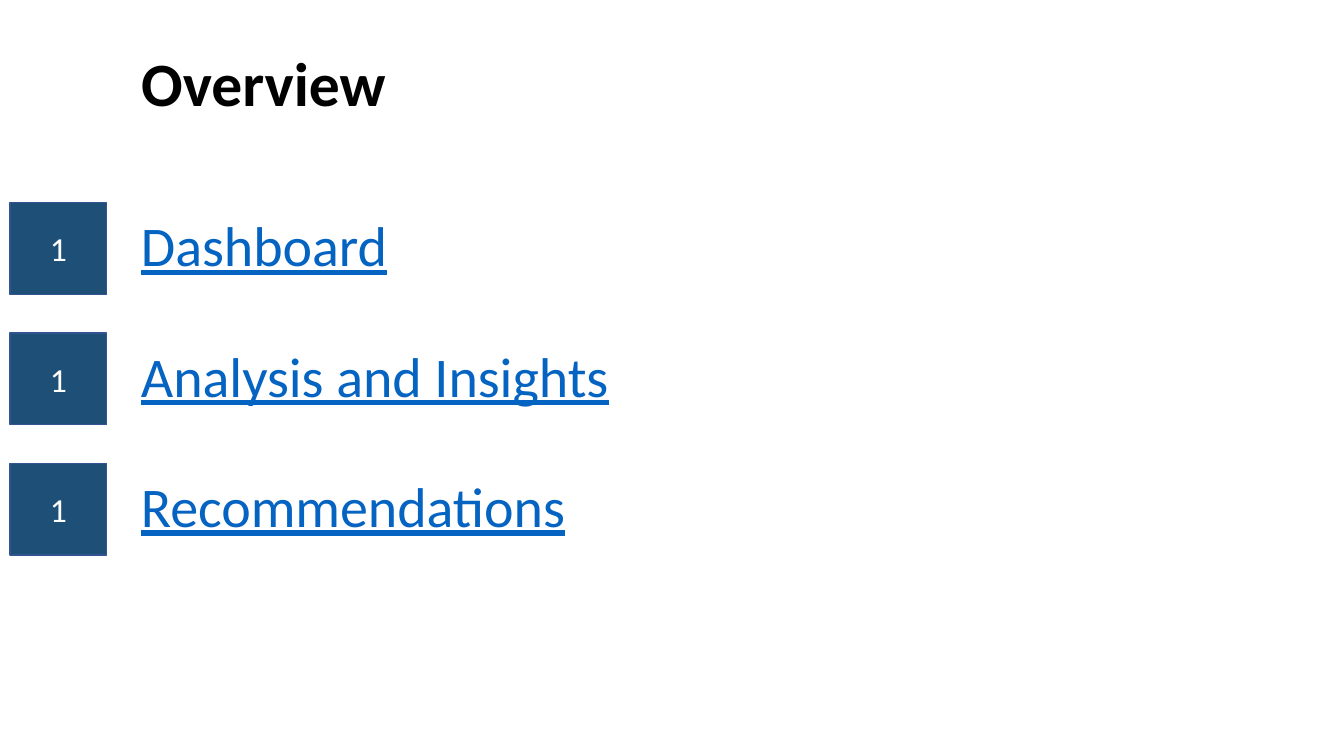
from pptx import Presentation
from pptx.dml.color import RGBColor
from pptx.enum.shapes import MSO_SHAPE
from pptx.enum.text import MSO_ANCHOR, MSO_AUTO_SIZE, PP_ALIGN
from pptx.util import Pt

RECT = MSO_SHAPE.RECTANGLE
MIDDLE = MSO_ANCHOR.MIDDLE
FIXED = MSO_AUTO_SIZE.NONE
LEFT, CENTER = PP_ALIGN.LEFT, PP_ALIGN.CENTER

BLACK = RGBColor(0x00, 0x00, 0x00)
WHITE = RGBColor(0xFF, 0xFF, 0xFF)
BLUE = RGBColor(0x05, 0x63, 0xC1)
NAVY = RGBColor(0x1D, 0x4F, 0x77)
EDGE = RGBColor(0x32, 0x54, 0x91)

FRAME = {"word_wrap": True, "auto_size": FIXED, "vertical_anchor": MIDDLE}
HEAD_FONT = {"name": "Calibri", "size": Pt(44), "bold": True}
ITEM_FONT = {"name": "Calibri", "size": Pt(40), "underline": True}
MARK_FONT = {"name": "Calibri", "size": Pt(24)}
HEAD_PARA = {"alignment": LEFT, "line_spacing": 0.9}
ITEM_PARA = {"alignment": LEFT, "line_spacing": 0.9, "space_before": Pt(10)}
MARK_PARA = {"alignment": CENTER}

TEXT_X, ROW_H = 93.6, 65.5
ROW_TOP, ROW_STEP = 144.7, 93.2
ITEMS = ["Dashboard", "Analysis and Insights", "Recommendations"]


def style(item, values):
    for name, value in values.items():
        setattr(item, name, value)


def write(shape, text, para, font, color):
    frame = shape.text_frame
    style(frame, FRAME)
    line = frame.paragraphs[0]
    style(line, para)
    run = line.add_run()
    run.text = text
    style(run.font, font)
    run.font.color.rgb = color


def add_title(slide, text):
    title = slide.shapes.title
    style(title, {"left": Pt(TEXT_X), "top": Pt(28.8),
                  "width": Pt(866.2), "height": Pt(ROW_H)})
    write(title, text, HEAD_PARA, HEAD_FONT, BLACK)


def add_item(slide, top, text):
    box = slide.shapes.add_textbox(Pt(TEXT_X), Pt(top), Pt(800), Pt(ROW_H))
    write(box, text, ITEM_PARA, ITEM_FONT, BLUE)


def add_mark(slide, top, text):
    mark = slide.shapes.add_shape(RECT, Pt(7.2), Pt(top), Pt(69.1), Pt(ROW_H))
    mark.shadow.inherit = False
    mark.fill.solid()
    mark.fill.fore_color.rgb = NAVY
    mark.line.color.rgb = EDGE
    mark.line.width = Pt(1)
    write(mark, text, MARK_PARA, MARK_FONT, WHITE)


def main():
    deck = Presentation()
    deck.slide_width, deck.slide_height = Pt(960), Pt(540)
    slide = deck.slides.add_slide(deck.slide_layouts.get_by_name("Title Only"))
    add_title(slide, "Overview")
    for row, text in enumerate(ITEMS):
        top = ROW_TOP + row * ROW_STEP
        add_item(slide, top, text)
        add_mark(slide, top, "1")
    deck.save("out.pptx")


if __name__ == "__main__":
    main()
